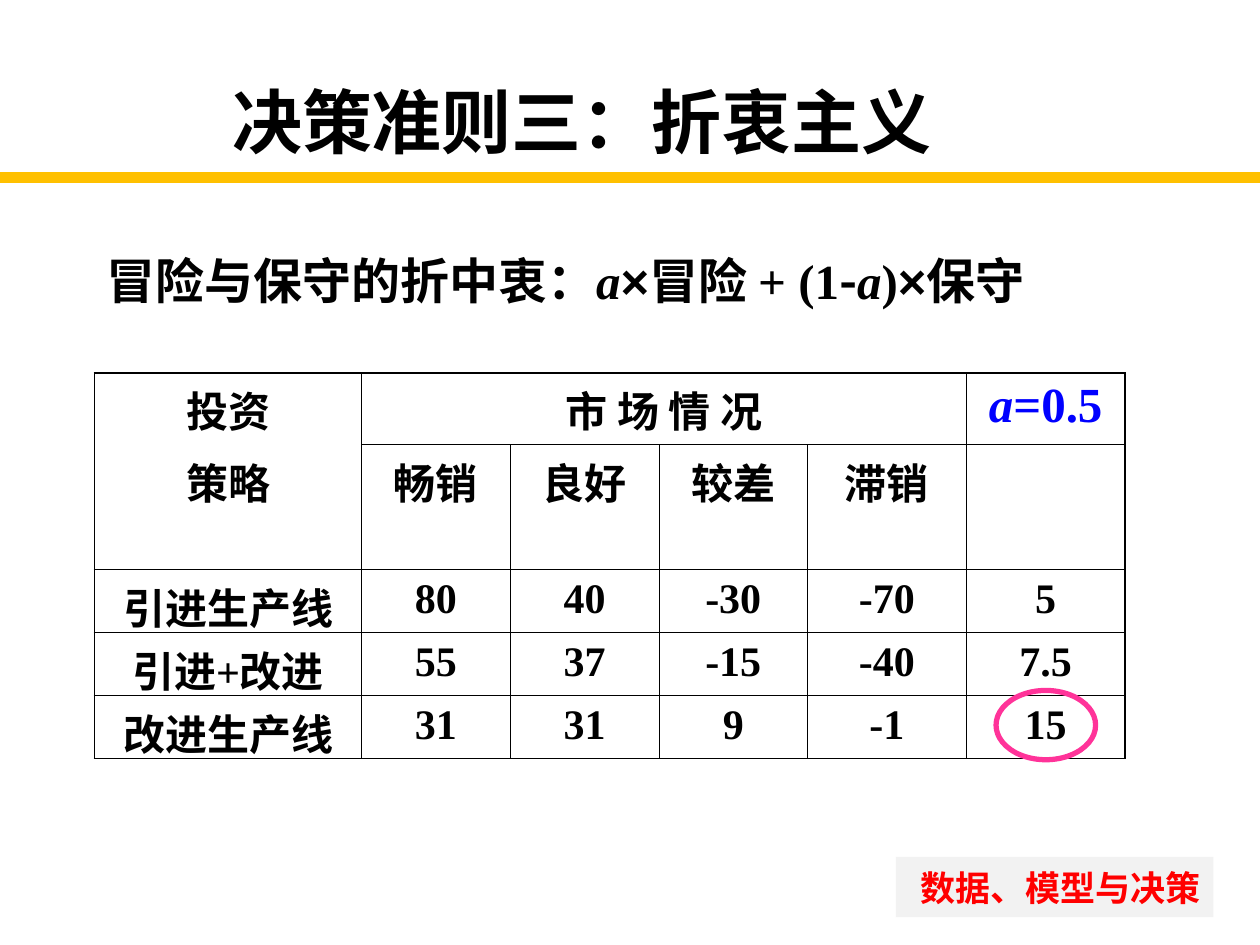
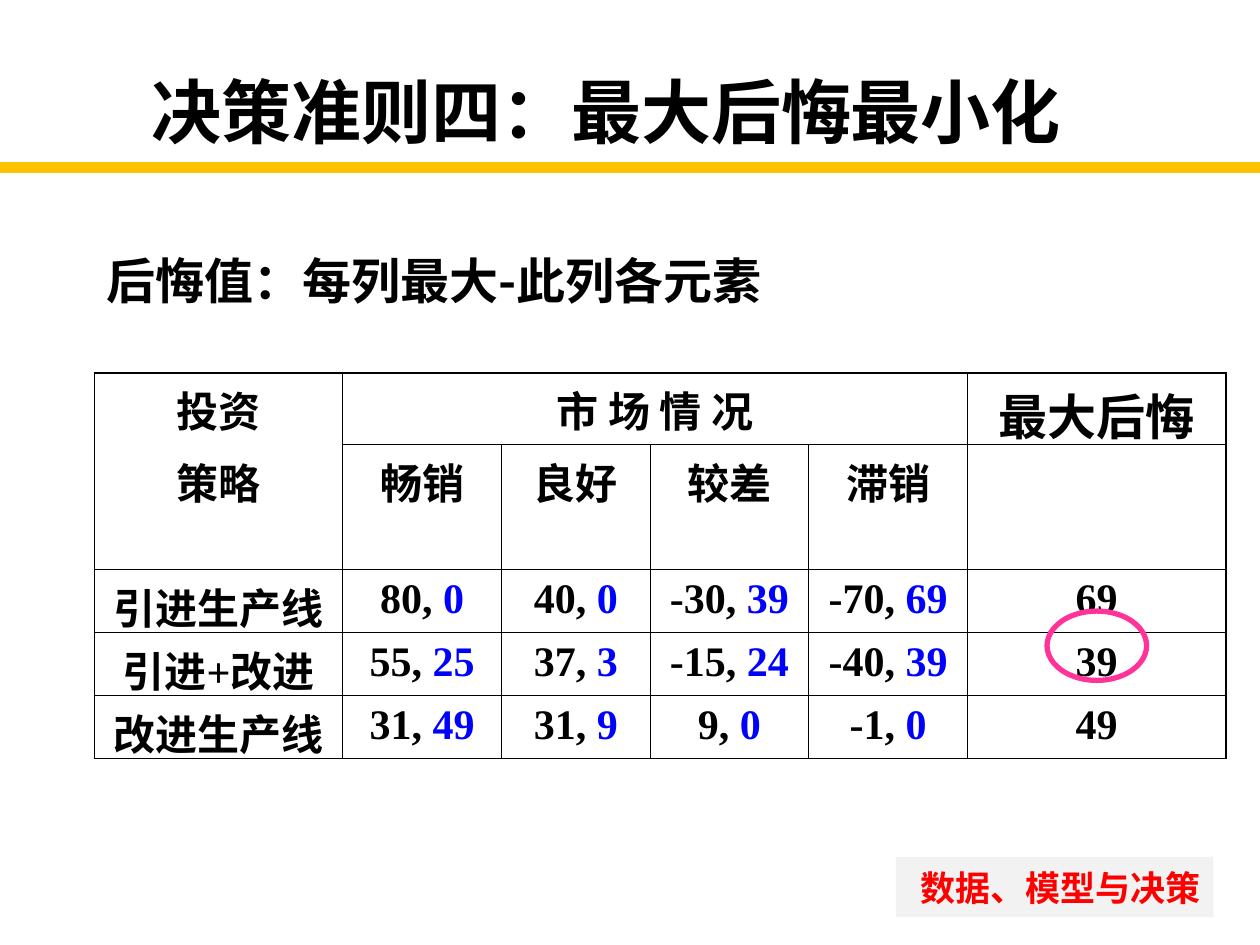
"""Build two slides on decision criteria, each with a payoff table."""
from dataclasses import dataclass
from typing import Optional

from lxml.etree import SubElement
from pptx import Presentation
from pptx.dml.color import RGBColor
from pptx.enum.shapes import MSO_CONNECTOR, MSO_SHAPE
from pptx.enum.text import MSO_ANCHOR, MSO_AUTO_SIZE, PP_ALIGN
from pptx.oxml.ns import qn
from pptx.util import Inches, Pt


@dataclass(frozen=True)
class Theme:
    """Colours, fonts and type sizes of the deck."""
    ink: str = "000000"
    accent: str = "0000FF"
    footer_ink: str = "FF0000"
    footer_fill: str = "F2F2F2"
    rule: str = "FFC000"
    ring: str = "FF3399"
    serif: str = "Times New Roman"
    sans: str = "Arial"
    title_font: str = "Calibri"
    chinese: str = "Noto Sans CJK SC"
    title_size: float = 40
    lead_size: float = 28
    cell_size: float = 24
    footer_size: float = 20
    outer_border: float = 1.08
    inner_border: float = 0.45


THEME = Theme()


@dataclass(frozen=True)
class Span:
    """A run of text with its own look."""
    text: str
    font: str = THEME.serif
    color: str = THEME.ink
    italic: bool = False


@dataclass(frozen=True)
class Criterion:
    """Everything that differs from one criterion slide to the next."""
    title: str
    title_box: tuple[float, float, float, float]
    rule_top: float
    lead: list[Span]
    columns: list[float]
    result_head: list[Span]
    payoff_cells: list[list[list[Span]]]
    results: list[float]
    ring_top: float


STRATEGIES = ["引进生产线", "引进+改进", "改进生产线"]
MARKETS = ["畅销", "良好", "较差", "滞销"]
PAYOFFS = [[80, 40, -30, -70], [55, 37, -15, -40], [31, 31, 9, -1]]
OPTIMISM = 0.5
COMPROMISES = [OPTIMISM * max(row) + (1 - OPTIMISM) * min(row) for row in PAYOFFS]
BEST = [max(column) for column in zip(*PAYOFFS)]
REGRETS = [[best - value for best, value in zip(BEST, row)] for row in PAYOFFS]

TABLE_LEFT, TABLE_TOP = 0.75, 2.96
ROW_HEIGHTS = [0.57, 0.99, 0.5, 0.5, 0.5]
RING_WIDTH, RING_HEIGHT = 0.79, 0.55

CRITERIA = [
    Criterion(
        title="决策准则三：折衷主义 ",
        title_box=(1.09, 0.55, 7.18, 0.81),
        rule_top=1.41,
        lead=[
            Span("冒险与保守的折中衷："), Span("a", italic=True), Span("×", THEME.sans),
            Span("冒险 + (1"), Span("-", THEME.chinese), Span("a", italic=True),
            Span(")"), Span("×", THEME.sans), Span("保守"),
        ],
        columns=[2.12, 1.18, 1.18, 1.18, 1.26, 1.26],
        result_head=[Span("a", color=THEME.accent, italic=True),
                     Span(f"={OPTIMISM}", color=THEME.accent)],
        payoff_cells=[[[Span(str(value))] for value in row] for row in PAYOFFS],
        results=COMPROMISES,
        ring_top=5.48,
    ),
    Criterion(
        title="决策准则四：最大后悔最小化 ",
        title_box=(0.78, 0.47, 8.19, 0.81),
        rule_top=1.33,
        lead=[Span("后悔值：每列最大"), Span("-", THEME.chinese), Span("此列各元素")],
        columns=[1.97, 1.26, 1.18, 1.26, 1.26, 2.05],
        result_head=[Span("最大后悔")],
        payoff_cells=[
            [[Span(f"{value}, "), Span(str(regret), color=THEME.accent)]
             for value, regret in zip(values, regrets)]
            for values, regrets in zip(PAYOFFS, REGRETS)
        ],
        results=[max(row) for row in REGRETS],
        ring_top=4.85,
    ),
]


def rgb(color: str) -> RGBColor:
    """Turn a hex string into a colour."""
    return RGBColor.from_string(color)


def write(para, spans: list[Span], size: float, align: Optional[PP_ALIGN] = None) -> None:
    """Fill a paragraph run by run."""
    para.alignment = align
    for span in spans:
        run = para.add_run()
        run.text = span.text
        font = run.font
        font.name, font.size = span.font, Pt(size)
        font.bold, font.italic = True, span.italic
        font.color.rgb = rgb(span.color)
        SubElement(font._element, qn("a:ea"), typeface=THEME.chinese)


def add_footer(slide) -> None:
    """Place the course label on the layout behind the slides."""
    box = slide.shapes.add_shape(
        MSO_SHAPE.RECTANGLE, Inches(7.11), Inches(6.8), Inches(2.52), Inches(0.48))
    box.shadow.inherit = False
    box.fill.solid()
    box.fill.fore_color.rgb = rgb(THEME.footer_fill)
    box.line.fill.background()
    frame = box.text_frame
    frame.vertical_anchor = MSO_ANCHOR.MIDDLE
    write(frame.paragraphs[0], [Span("数据、模型与决策", THEME.chinese, THEME.footer_ink)],
          THEME.footer_size, PP_ALIGN.RIGHT)
    slide.slide_layout.shapes.element.append(box.element)


def add_title(slide, criterion: Criterion) -> None:
    """Move and fill the title placeholder."""
    title = slide.shapes.title
    title.left, title.top, title.width, title.height = map(Inches, criterion.title_box)
    frame = title.text_frame
    frame.auto_size = MSO_AUTO_SIZE.NONE
    frame.vertical_anchor = MSO_ANCHOR.MIDDLE
    write(frame.paragraphs[0], [Span(criterion.title, THEME.title_font)],
          THEME.title_size, PP_ALIGN.CENTER)


def add_lead(slide, spans: list[Span]) -> None:
    """Add the line that states the rule of the criterion."""
    box = slide.shapes.add_textbox(Inches(0.75), Inches(1.94), Inches(8.43), Inches(0.57))
    box.text_frame.word_wrap = True
    box.text_frame.auto_size = MSO_AUTO_SIZE.SHAPE_TO_FIT_TEXT
    write(box.text_frame.paragraphs[0], spans, THEME.lead_size)


def set_borders(cell, outer_sides: dict[str, bool]) -> None:
    """Draw the four borders of a cell, heavier on the outer edge."""
    properties = cell._tc.get_or_add_tcPr()
    for side, outer in outer_sides.items():
        width = Pt(THEME.outer_border if outer else THEME.inner_border)
        line = SubElement(properties, qn(f"a:ln{side}"), w=str(int(width)))
        SubElement(SubElement(line, qn("a:solidFill")), qn("a:srgbClr"), val=THEME.ink)
    cell.fill.background()


def add_payoff_table(slide, criterion: Criterion) -> None:
    """Add the table of payoffs by strategy and market."""
    columns = criterion.columns
    table = slide.shapes.add_table(
        len(ROW_HEIGHTS), len(columns), Inches(TABLE_LEFT), Inches(TABLE_TOP),
        Inches(sum(columns)), Inches(sum(ROW_HEIGHTS))).table
    table.first_row = table.horz_banding = False
    for column, width in zip(table.columns, columns):
        column.width = Inches(width)
    for row, height in zip(table.rows, ROW_HEIGHTS):
        row.height = Inches(height)

    last_row, last_column = len(ROW_HEIGHTS) - 1, len(columns) - 1
    for i in range(last_row + 1):
        for j in range(last_column + 1):
            set_borders(table.cell(i, j), {
                "L": j == 0, "R": j == last_column, "T": i == 0, "B": i == last_row})
    table.cell(0, 0).merge(table.cell(1, 0))
    table.cell(0, 1).merge(table.cell(0, last_column - 1))

    def fill(i: int, j: int, spans: list[Span], size: float = THEME.cell_size) -> None:
        """Write centred text into a cell."""
        write(table.cell(i, j).text_frame.paragraphs[0], spans, size, PP_ALIGN.CENTER)

    fill(0, 0, [Span("投资")])
    second = table.cell(0, 0).text_frame.add_paragraph()
    second.space_before = Pt(6)
    write(second, [Span("策略")], THEME.cell_size, PP_ALIGN.CENTER)
    fill(0, 1, [Span("市 场 情 况")])
    fill(0, last_column, criterion.result_head, THEME.lead_size)
    for j, market in enumerate(MARKETS, start=1):
        fill(1, j, [Span(market)])
    body = zip(STRATEGIES, criterion.payoff_cells, criterion.results)
    for i, (strategy, payoffs, result) in enumerate(body, start=2):
        for j, spans in enumerate([[Span(strategy)], *payoffs, [Span(f"{result:g}")]]):
            fill(i, j, spans)


def add_ring(slide, criterion: Criterion) -> None:
    """Circle the chosen result, centred on the last column."""
    center = TABLE_LEFT + sum(criterion.columns) - criterion.columns[-1] / 2
    ring = slide.shapes.add_shape(
        MSO_SHAPE.OVAL, Inches(center - RING_WIDTH / 2), Inches(criterion.ring_top),
        Inches(RING_WIDTH), Inches(RING_HEIGHT))
    ring.shadow.inherit = False
    ring.fill.background()
    ring.line.color.rgb = rgb(THEME.ring)
    ring.line.width = Pt(3)


def add_rule(slide, top: float) -> None:
    """Draw the full-width line below the title."""
    rule = slide.shapes.add_connector(
        MSO_CONNECTOR.STRAIGHT, Inches(0), Inches(top), Inches(10), Inches(top))
    rule.line.color.rgb = rgb(THEME.rule)
    rule.line.width = Pt(6)
    SubElement(rule._element.spPr, qn("a:effectLst"))


def main() -> None:
    """Build and save the deck."""
    deck = Presentation()
    deck.slide_width, deck.slide_height = Inches(10), Inches(7.5)
    layout = deck.slide_layouts.get_by_name("Title Only")
    for number, criterion in enumerate(CRITERIA):
        slide = deck.slides.add_slide(layout)
        if number == 0:
            add_footer(slide)
        add_title(slide, criterion)
        add_lead(slide, criterion.lead)
        add_payoff_table(slide, criterion)
        add_ring(slide, criterion)
        add_rule(slide, criterion.rule_top)
    deck.save("out.pptx")


if __name__ == "__main__":
    main()
